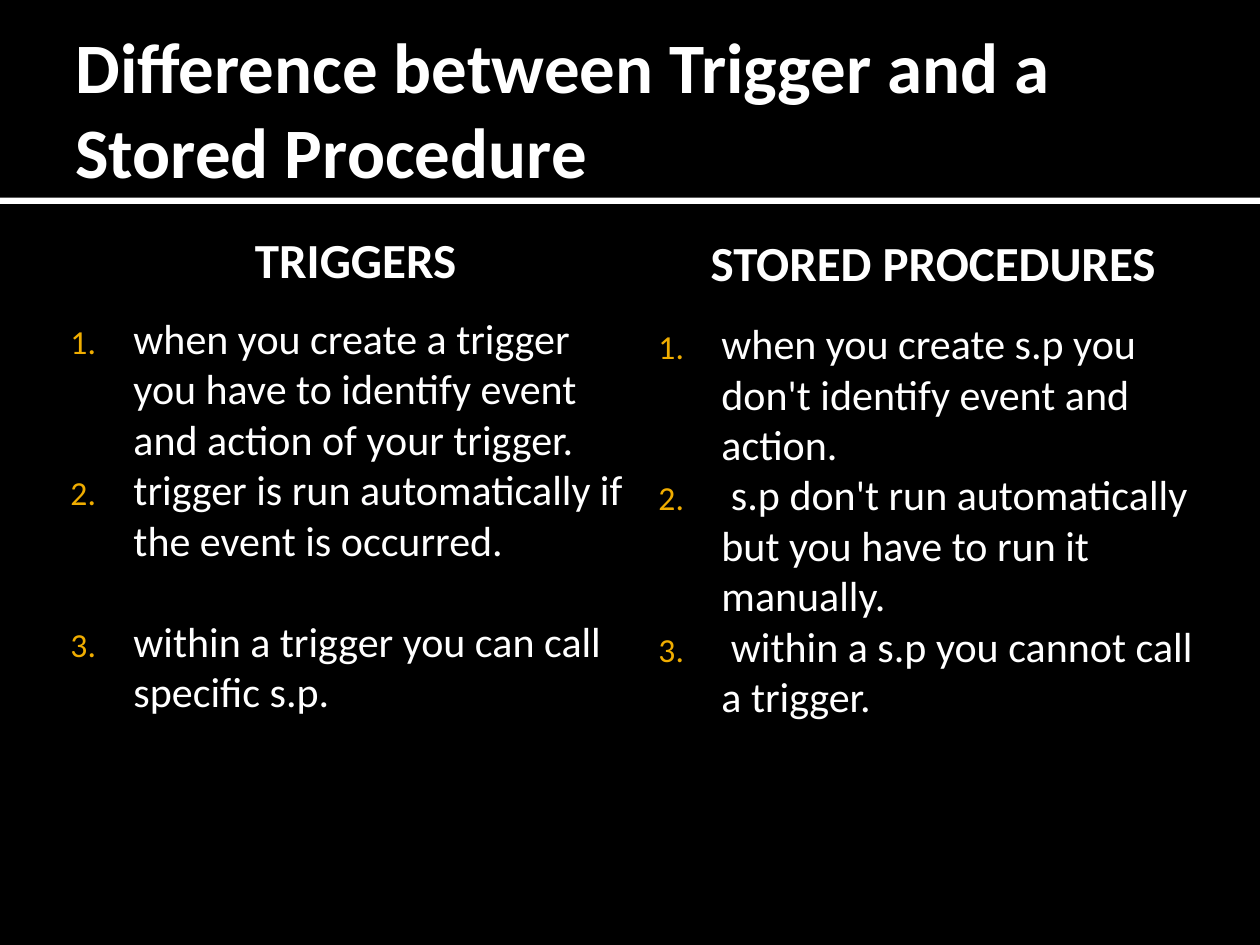
from lxml.etree import SubElement
from pptx import Presentation
from pptx.dml.color import RGBColor
from pptx.enum.shapes import MSO_SHAPE
from pptx.enum.text import MSO_ANCHOR, PP_ALIGN
from pptx.oxml.ns import qn
from pptx.util import Pt

BLACK = RGBColor(0, 0, 0)
WHITE = RGBColor(255, 255, 255)
GOLD = RGBColor(0xF0, 0xAD, 0x00)
FONT = "Calibri"
INDENT = Pt(36)

TITLE = "Difference between Trigger and a Stored Procedure"
COLUMNS = [
    {
        "head": "TRIGGERS",
        "head_box": (36, 121, 330, 50.4),
        "list_box": (36, 171.4, 330, 311),
        "items": [
            ("when you create a trigger you have to identify event "
             "and action of your trigger.", 0),
            ("trigger is run automatically if the event is occurred.", 0),
            ("within a trigger you can call specific s.p.", 29),
        ],
    },
    {
        "head": "STORED PROCEDURES",
        "head_box": (372, 120, 318, 56),
        "list_box": (372, 174.3, 318, 311),
        "items": [
            ("when you create s.p you don't identify event and action.", 0),
            (" s.p don't run automatically but you have to run it manually.", 0),
            (" within a s.p you cannot call a trigger.", 0),
        ],
    },
]


def add_box(slide, box, lines, size, bold, insets, anchor, align=PP_ALIGN.LEFT):
    shape = slide.shapes.add_textbox(*map(Pt, box))
    shape.fill.solid()
    shape.fill.fore_color.rgb = BLACK
    shape.line.color.rgb = BLACK
    shape.line.width = Pt(3.78)
    frame = shape.text_frame
    frame.word_wrap = True
    frame.vertical_anchor = anchor
    (frame.margin_left, frame.margin_top,
     frame.margin_right, frame.margin_bottom) = map(Pt, insets)
    frame.text = "\n".join(lines)
    for para in frame.paragraphs:
        para.alignment = align
        for run in para.runs:
            run.font.name = FONT
            run.font.size = Pt(size)
            run.font.bold = bold
            run.font.color.rgb = WHITE
    return frame


def add_number(para):
    props = para._p.get_or_add_pPr()
    props.set("marL", str(INDENT))
    props.set("indent", str(-INDENT))
    color = SubElement(props, qn("a:buClr"))
    SubElement(color, qn("a:srgbClr"), val=str(GOLD))
    SubElement(props, qn("a:buSzPct"), val="80000")
    SubElement(props, qn("a:buFont"), typeface=FONT)
    SubElement(props, qn("a:buAutoNum"), type="arabicPeriod")


def add_column(slide, column):
    add_box(slide, column["head_box"], [column["head"]], 28, True,
            (11.5, 7.2, 7.2, 3.6), MSO_ANCHOR.MIDDLE, PP_ALIGN.CENTER)
    items = column["items"]
    frame = add_box(slide, column["list_box"], [text for text, gap in items],
                    24, False, (4.3, 7.2, 7.2, 3.6), MSO_ANCHOR.TOP)
    for para, (text, gap) in zip(frame.paragraphs, items):
        add_number(para)
        if gap:
            para.space_before = Pt(gap)


def main():
    deck = Presentation()
    deck.slide_width, deck.slide_height = Pt(720), Pt(540)
    slide = deck.slides.add_slide(deck.slide_layouts[6])
    slide.background.fill.solid()
    slide.background.fill.fore_color.rgb = BLACK

    rule = slide.shapes.add_shape(
        MSO_SHAPE.RECTANGLE, 0, Pt(113), deck.slide_width, Pt(3.6))
    rule.shadow.inherit = False
    rule.fill.solid()
    rule.fill.fore_color.rgb = WHITE
    rule.line.fill.background()

    add_box(slide, (36, 12, 648, 98.6), [TITLE], 40.5, True,
            (7.2, 3.6, 3.6, 3.6), MSO_ANCHOR.MIDDLE)
    for column in COLUMNS:
        add_column(slide, column)
    deck.save("out.pptx")


if __name__ == "__main__":
    main()
